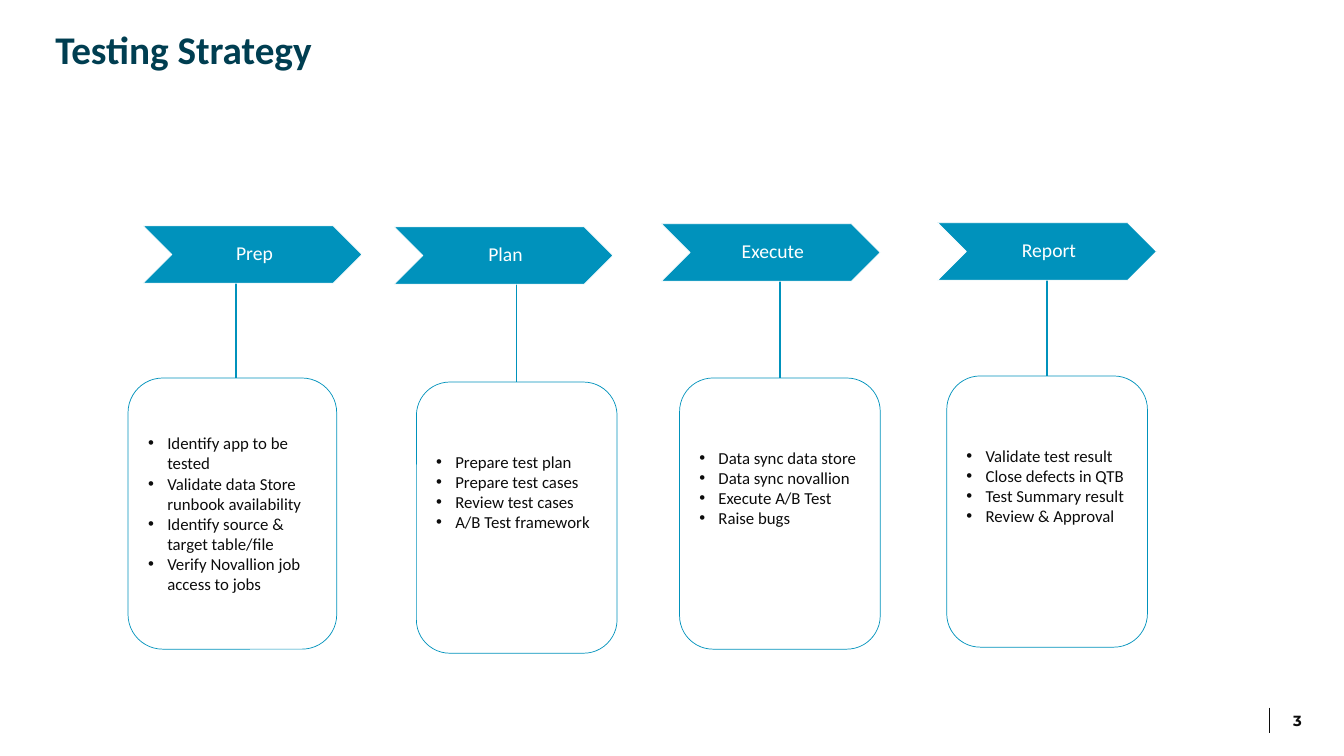
"""Build the Testing Strategy slide: four phases, each with its list of tasks."""
from dataclasses import dataclass

from lxml import etree
from pptx import Presentation
from pptx import util as u
from pptx.dml.color import RGBColor
from pptx.enum import shapes, text
from pptx.oxml import ns

BLUE, NAVY, INK, WHITE = "0092BC", "003E51", "0C0C0C", "FFFFFF"
BOX_HEIGHT, STEM_HEIGHT = 2.69, 0.97
CHEVRON_WIDTH, CHEVRON_HEIGHT = 2.17, 0.57
INDENT = 0.19


@dataclass(frozen=True)
class Phase:
    name: str
    chevron_left: float
    chevron_top: float
    stem_x: float
    box_left: float
    box_top: float
    tasks: tuple[str, ...]
    box_width: float = 1.99
    bottom_inset: float = 0.56


PHASES = (
    Phase("Prep", 1.42, 2.24, 2.34, 1.27, 3.75,
          ("Identify app to be tested", "Validate data Store runbook availability",
           "Identify source & target table/file", "Verify Novallion job access to jobs"),
          box_width=2.07, bottom_inset=0.05),
    Phase("Plan", 3.91, 2.25, 5.12, 4.13, 3.79,
          ("Prepare test plan", "Prepare test cases", "Review test cases", "A/B Test framework")),
    Phase("Execute", 6.56, 2.22, 7.74, 6.74, 3.75,
          ("Data sync data store", "Data sync novallion", "Execute A/B Test", "Raise bugs")),
    Phase("Report", 9.3, 2.21, 10.39, 9.39, 3.73,
          ("Validate test result", "Close defects in QTB", "Test Summary result",
           "Review & Approval")),
)


def color(value: str) -> RGBColor:
    return RGBColor.from_string(value)


def style(p, size: float, hue: str, name: str = "Calibri", bold: bool = False,
          align=text.PP_ALIGN.LEFT) -> None:
    p.alignment = align
    p.font.size, p.font.name, p.font.bold = u.Pt(size), name, bold
    p.font.color.rgb = color(hue)


def bullet(p) -> None:
    pPr = p._p.get_or_add_pPr()
    pPr.set("marL", str(u.Inches(INDENT)))
    pPr.set("indent", str(u.Inches(-INDENT)))
    font = etree.Element(ns.qn("a:buFont"), typeface="Arial")
    char = etree.Element(ns.qn("a:buChar"), char="•")
    pPr.insert(0, font)
    font.addnext(char)


def add_box(s, kind, left: float, top: float, width: float, height: float,
            fill: str, line: str):
    sp = s.shapes.add_shape(kind, u.Inches(left), u.Inches(top),
                            u.Inches(width), u.Inches(height))
    sp.shadow.inherit = False
    sp.fill.solid()
    sp.fill.fore_color.rgb = color(fill)
    sp.line.color.rgb = color(line)
    sp.line.width = u.Pt(0.5)
    sp.text_frame.word_wrap = True
    sp.text_frame.vertical_anchor = text.MSO_ANCHOR.MIDDLE
    return sp


def add_line(s, x: float, top: float, bottom: float, hue: str, width: float):
    c = s.shapes.add_connector(shapes.MSO_CONNECTOR.STRAIGHT, u.Inches(x), u.Inches(top),
                               u.Inches(x), u.Inches(bottom))
    c.line.color.rgb = color(hue)
    c.line.width = u.Pt(width)
    etree.SubElement(c._element.spPr, ns.qn("a:effectLst"))
    return c


def add_label(s, content: str, left: float, top: float, width: float, height: float):
    tf = s.shapes.add_textbox(u.Inches(left), u.Inches(top),
                              u.Inches(width), u.Inches(height)).text_frame
    tf.word_wrap = True
    tf.text = content
    return tf


def add_phase(s, phase: Phase) -> None:
    box = add_box(s, shapes.MSO_SHAPE.ROUNDED_RECTANGLE, phase.box_left, phase.box_top,
                  phase.box_width, BOX_HEIGHT, WHITE, BLUE)
    tf = box.text_frame
    tf.margin_bottom = u.Inches(phase.bottom_inset)
    tf.text = "\n".join(phase.tasks)
    for p in tf.paragraphs:
        style(p, 12, INK)
        bullet(p)

    stem = add_line(s, phase.stem_x, phase.box_top - STEM_HEIGHT, phase.box_top, BLUE, 1)
    if abs(phase.box_left + phase.box_width / 2 - phase.stem_x) < 0.01:
        stem.end_connect(box, 0)
        stem.begin_x = stem.end_x

    chevron = add_box(s, shapes.MSO_SHAPE.CHEVRON, phase.chevron_left, phase.chevron_top,
                      CHEVRON_WIDTH, CHEVRON_HEIGHT, BLUE, WHITE)
    tf = chevron.text_frame
    tf.margin_left = u.Inches(0.06)
    tf.margin_right = tf.margin_top = tf.margin_bottom = u.Inches(0.02)
    tf.text = phase.name
    p = tf.paragraphs[0]
    style(p, 14, WHITE, align=text.PP_ALIGN.CENTER)
    p.line_spacing = 0.9


def main() -> None:
    prs = Presentation()
    prs.slide_width, prs.slide_height = u.Inches(13.33), u.Inches(7.5)
    s = prs.slides.add_slide(prs.slide_layouts[6])

    add_line(s, 12.59, 7.02, 7.27, INK, 0.25)
    tf = add_label(s, "3", 12.42, 6.95, 0.59, 0.4)
    tf.vertical_anchor = text.MSO_ANCHOR.MIDDLE
    style(tf.paragraphs[0], 10.5, INK, "Montserrat", True, text.PP_ALIGN.RIGHT)

    p = add_label(s, "Testing Strategy", 0.45, 0.25, 5.96, 0.63).paragraphs[0]
    style(p, 28, NAVY, bold=True)
    p.line_spacing = 0.9

    for phase in PHASES:
        add_phase(s, phase)
    prs.save("out.pptx")


if __name__ == "__main__":
    main()
